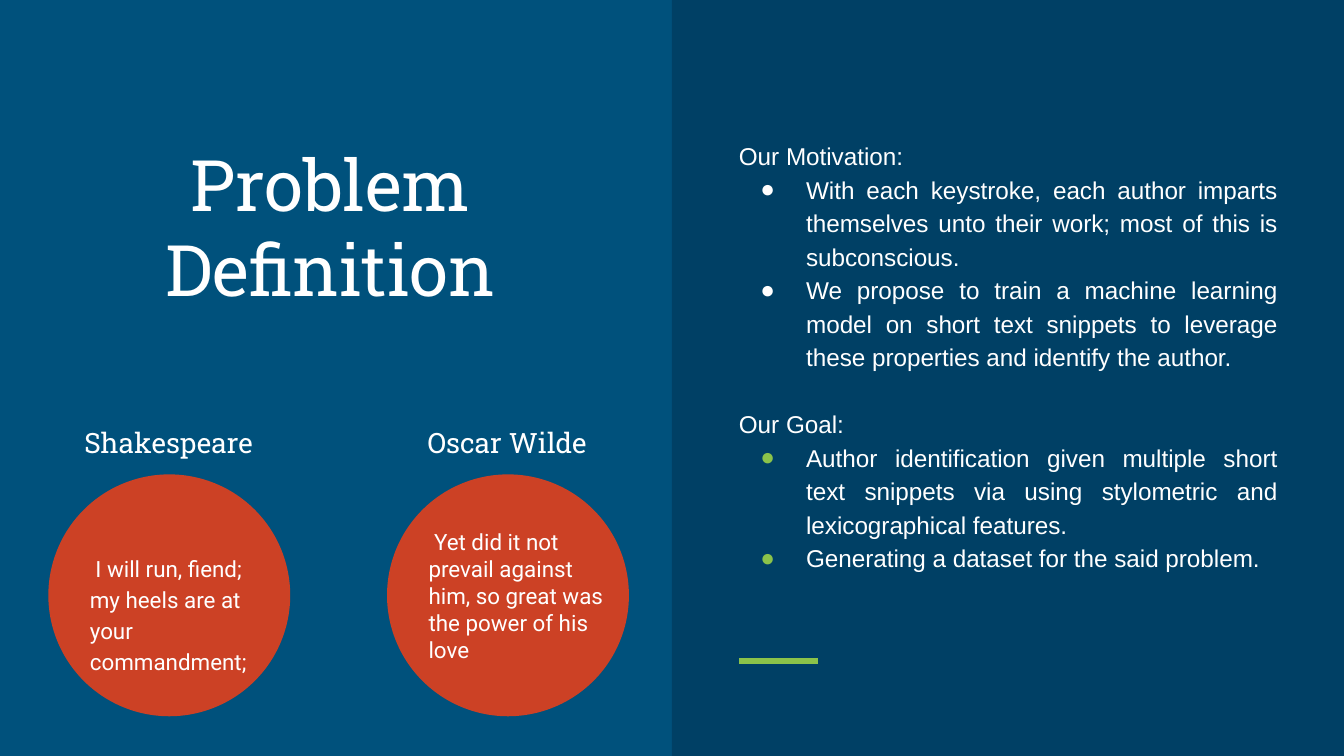
from dataclasses import dataclass
from typing import Optional

from lxml import etree
from pptx import Presentation
from pptx.dml.color import RGBColor
from pptx.enum.shapes import MSO_CONNECTOR, MSO_SHAPE
from pptx.enum.text import MSO_ANCHOR, PP_ALIGN
from pptx.oxml.ns import qn
from pptx.util import Inches, Pt

RECTANGLE, OVAL = MSO_SHAPE.RECTANGLE, MSO_SHAPE.OVAL
STRAIGHT = MSO_CONNECTOR.STRAIGHT
MIDDLE = MSO_ANCHOR.MIDDLE
LEFT, CENTER, JUSTIFY = PP_ALIGN.LEFT, PP_ALIGN.CENTER, PP_ALIGN.JUSTIFY

PAGE_WIDTH = 10
PAGE_HEIGHT = PAGE_WIDTH * 9 / 16


@dataclass(frozen=True)
class Theme:
    background: str = "00517C"
    panel: str = "004065"
    accent: str = "8BC34A"
    circle: str = "CC4125"
    text: str = "FFFFFF"
    heading_font: str = "Roboto Slab"
    quote_font: str = "Roboto"
    body_font: str = "Arial"
    title_size: int = 38
    name_size: int = 15
    quote_size: int = 12
    body_size: int = 13


@dataclass(frozen=True)
class Line:
    text: str
    font: str
    size: int
    align: PP_ALIGN = LEFT
    spacing: float = 1.0
    before: int = 0
    after: int = 0
    bullet: Optional[str] = None


@dataclass(frozen=True)
class Author:
    name: str
    quote: str
    left: float
    quote_top: float
    spacing: float
    after: int


@dataclass(frozen=True)
class Section:
    heading: str
    bullet: str
    points: tuple[str, ...]


THEME = Theme()
AUTHORS = (
    Author("Shakespeare", " I will run, fiend; my heels are at your commandment;",
           0.36, 4.01, 1.15, 16),
    Author("Oscar Wilde", " Yet did it not prevail against him, so great was "
           "the power of his love", 2.88, 3.88, 1.0, 0),
)
SECTIONS = (
    Section("Our Motivation:", THEME.text, (
        "With each keystroke, each author imparts themselves unto their work; "
        "most of this is subconscious.",
        "We propose to train a machine learning model on short text snippets "
        "to leverage these properties and identify the author.")),
    Section("Our Goal:", THEME.accent, (
        "Author identification given multiple short text snippets via using "
        "stylometric and lexicographical features.",
        "Generating a dataset for the said problem.")),
)


def add_filled(page, kind: MSO_SHAPE, left: float, top: float,
               width: float, height: float, color: str) -> None:
    shape = page.shapes.add_shape(kind, Inches(left), Inches(top),
                                  Inches(width), Inches(height))
    shape.shadow.inherit = False
    shape.fill.solid()
    shape.fill.fore_color.rgb = RGBColor.from_string(color)
    shape.line.fill.background()


def add_bullet(para, color: str) -> None:
    properties = para._p.get_or_add_pPr()
    properties.set("marL", str(Inches(0.5)))
    properties.set("indent", str(Inches(-0.34)))
    bullet_color = etree.SubElement(properties, qn("a:buClr"))
    etree.SubElement(bullet_color, qn("a:srgbClr"), val=color)
    etree.SubElement(properties, qn("a:buFont"), typeface=THEME.body_font)
    etree.SubElement(properties, qn("a:buChar"), char="●")


def add_text(page, left: float, top: float, width: float, height: float,
             lines: list[Line], bottom_margin: float = 0.1) -> None:
    box = page.shapes.add_textbox(Inches(left), Inches(top),
                                  Inches(width), Inches(height))
    frame = box.text_frame
    frame.word_wrap = True
    frame.vertical_anchor = MIDDLE
    frame.margin_left = frame.margin_right = frame.margin_top = Inches(0.1)
    frame.margin_bottom = Inches(bottom_margin)
    frame.text = "\n".join(line.text for line in lines)
    for para, line in zip(frame.paragraphs, lines):
        para.alignment = line.align
        para.line_spacing = line.spacing
        para.space_before, para.space_after = Pt(line.before), Pt(line.after)
        if line.bullet:
            add_bullet(para, line.bullet)
        for span in para.runs:
            span.font.name = line.font
            span.font.size = Pt(line.size)
            span.font.color.rgb = RGBColor.from_string(THEME.text)


def add_author(page, author: Author) -> None:
    add_filled(page, OVAL, author.left, 3.53, 1.8, 1.8, THEME.circle)
    add_text(page, author.left + 0.21, author.quote_top, 1.59, 1.1,
             [Line(author.quote, THEME.quote_font, THEME.quote_size,
                   spacing=author.spacing, after=author.after)])
    add_text(page, author.left - 0.12, 2.94, 2.03, 0.7,
             [Line(author.name, THEME.heading_font, THEME.name_size, CENTER)])


def section_lines() -> list[Line]:
    lines = []
    for number, section in enumerate(SECTIONS):
        lines.append(Line(section.heading, THEME.body_font, THEME.body_size,
                          spacing=1.15, before=18 if number else 0))
        lines.extend(Line(point, THEME.body_font, THEME.body_size, JUSTIFY,
                          1.15, bullet=section.bullet)
                     for point in section.points)
    return lines


def add_accent_line(page) -> None:
    rule = page.shapes.add_connector(STRAIGHT, Inches(5.5), Inches(4.92),
                                     Inches(6.09), Inches(4.92))
    rule.line.color.rgb = RGBColor.from_string(THEME.accent)
    rule.line.width = Pt(3)
    etree.SubElement(rule._element.spPr, qn("a:effectLst"))


def main() -> None:
    deck = Presentation()
    deck.slide_width, deck.slide_height = Inches(PAGE_WIDTH), Inches(PAGE_HEIGHT)
    page = deck.slides.add_slide(deck.slide_layouts[6])
    page.background.fill.solid()
    page.background.fill.fore_color.rgb = RGBColor.from_string(THEME.background)

    # Right panel with motivation and goal, its text set above the middle
    half = PAGE_WIDTH / 2
    add_filled(page, RECTANGLE, half, 0, half, PAGE_HEIGHT, THEME.panel)
    add_accent_line(page)
    add_text(page, 5.4, 0.79, 4.2, 4.04, section_lines(), bottom_margin=0.44)

    # Left half with the title and the two authors
    add_text(page, 0.25, 0.96, 4.42, 1.44,
             [Line("Problem Definition", THEME.heading_font, THEME.title_size, CENTER)])
    for author in AUTHORS:
        add_author(page, author)

    deck.save("out.pptx")


if __name__ == "__main__":
    main()
